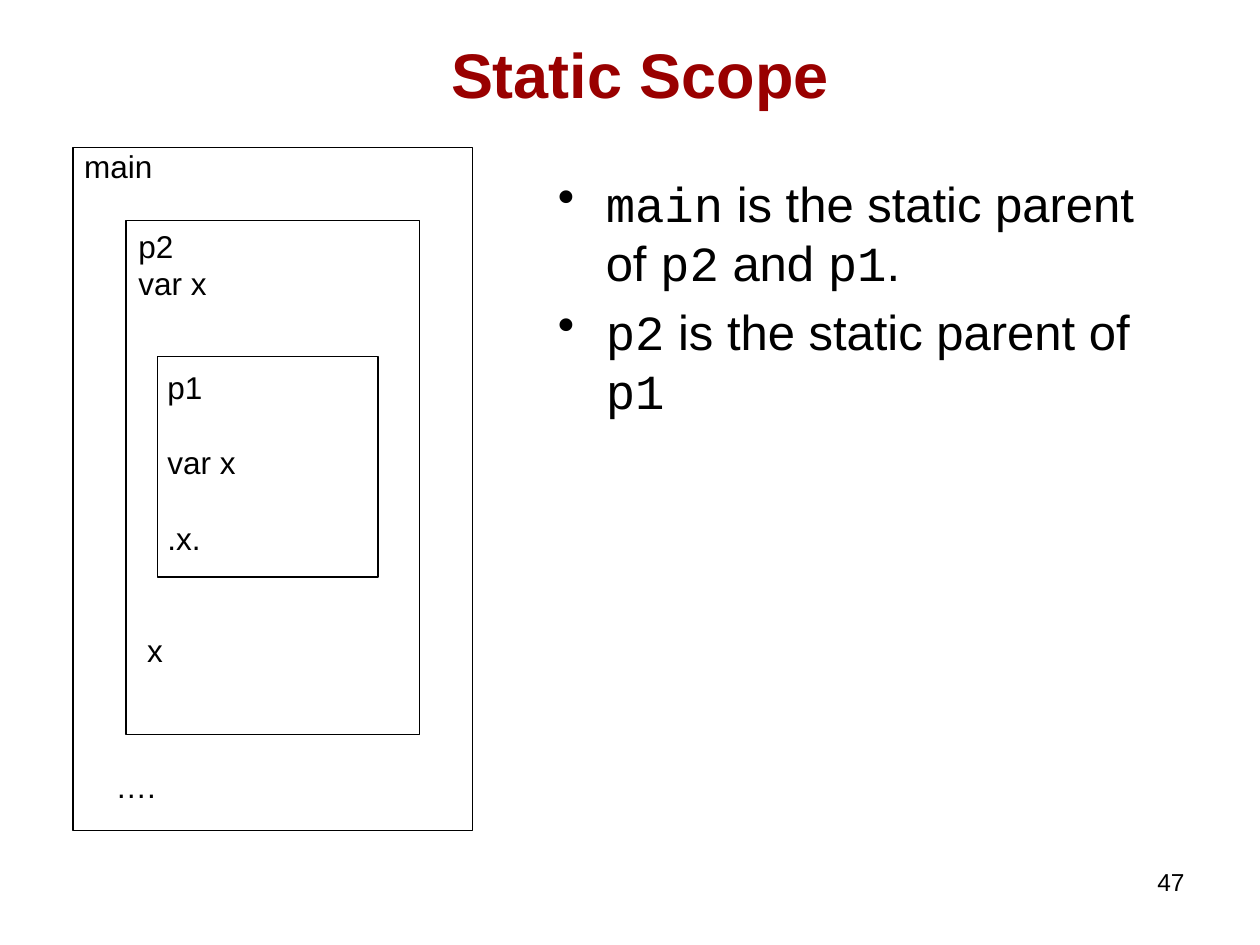
from dataclasses import dataclass

import pptx
import pptx.dml.color
import pptx.enum.shapes
import pptx.enum.text
import pptx.oxml
import pptx.oxml.ns
import pptx.util
from pptx.util import Inches, Pt

BLACK = pptx.dml.color.RGBColor(0x00, 0x00, 0x00)
DARK_RED = pptx.dml.color.RGBColor(0x99, 0x00, 0x00)
PROSE, CODE = "Arial", "Courier New"
CENTER = pptx.enum.text.PP_ALIGN.CENTER
RIGHT = pptx.enum.text.PP_ALIGN.RIGHT


@dataclass(frozen=True)
class Box:
    left: float
    top: float
    width: float
    height: float

    def emu(self) -> tuple[int, int, int, int]:
        return (Inches(self.left), Inches(self.top),
                Inches(self.width), Inches(self.height))


@dataclass(frozen=True)
class Label:
    box: Box
    lines: tuple[str, ...]
    gap: float = 0  # points between lines


SCOPES = (
    Box(0.58, 1.17, 3.17, 5.42),  # main
    Box(1, 1.75, 2.33, 4.08),     # p2
    Box(1.25, 2.83, 1.75, 1.75),  # p1
)

LABELS = (
    Label(Box(0.57, 1.12, 0.74, 0.4), ("main",)),
    Label(Box(1, 1.75, 0.74, 0.7), ("p2", "var x")),
    Label(Box(1.23, 2.87, 0.74, 1.6), ("p1", "var x", ".x."), gap=21.5),
    Label(Box(1.07, 4.96, 0.33, 0.4), ("x",)),
    Label(Box(0.82, 6.04, 0.52, 0.4), ("….",)),
)

STATEMENTS = (
    (("main", CODE), (" is the static parent of ", PROSE), ("p2", CODE),
     (" and ", PROSE), ("p1", CODE), (".", PROSE)),
    (("p2", CODE), (" is the static parent of ", PROSE), ("p1", CODE)),
)


def add_run(paragraph, text: str, size: float, font: str = PROSE,
            color=BLACK, bold: bool = False) -> None:
    run = paragraph.add_run()
    run.text = text
    run.font.name = font
    run.font.size = Pt(size)
    run.font.bold = bold
    run.font.color.rgb = color


def add_frame(slide, box: Box, wrap: bool = True):
    frame = slide.shapes.add_textbox(*box.emu()).text_frame
    frame.word_wrap = wrap
    return frame


def next_paragraph(frame, index: int):
    return frame.add_paragraph() if index else frame.paragraphs[0]


def set_bullet(paragraph, indent: float) -> None:
    properties = paragraph._p.get_or_add_pPr()
    properties.set("marL", str(Inches(indent)))
    properties.set("indent", str(-Inches(indent)))
    bullet = pptx.oxml.parse_xml(
        f'<a:buChar {pptx.oxml.ns.nsdecls("a")} char="•"/>')
    properties.append(bullet)


def add_title(slide, box: Box, text: str) -> None:
    title = slide.shapes.title
    title.left, title.top, title.width, title.height = box.emu()
    frame = title.text_frame
    frame.auto_size = pptx.enum.text.MSO_AUTO_SIZE.NONE
    frame.vertical_anchor = pptx.enum.text.MSO_ANCHOR.MIDDLE
    paragraph = frame.paragraphs[0]
    paragraph.alignment = CENTER
    paragraph.line_spacing = 0.75
    add_run(paragraph, text, 36, color=DARK_RED, bold=True)


def add_statements(slide, box: Box) -> None:
    frame = add_frame(slide, box)
    for index, statement in enumerate(STATEMENTS):
        paragraph = next_paragraph(frame, index)
        paragraph.space_before = Pt(5.6)
        set_bullet(paragraph, 0.38)
        for text, font in statement:
            add_run(paragraph, text, 28, font)


def add_scope(slide, box: Box) -> None:
    scope = slide.shapes.add_shape(
        pptx.enum.shapes.MSO_SHAPE.RECTANGLE, *box.emu())
    scope.shadow.inherit = False
    scope.fill.background()
    scope.line.color.rgb = BLACK
    scope.line.width = Pt(0.75)


def add_label(slide, label: Label) -> None:
    frame = add_frame(slide, label.box, wrap=False)
    frame.auto_size = pptx.enum.text.MSO_AUTO_SIZE.SHAPE_TO_FIT_TEXT
    for index, line in enumerate(label.lines):
        paragraph = next_paragraph(frame, index)
        if index and label.gap:
            paragraph.space_before = Pt(label.gap)
        add_run(paragraph, line, 18)


def main() -> None:
    deck = pptx.Presentation()
    deck.slide_width, deck.slide_height = Inches(10), Inches(7.5)
    slide = deck.slides.add_slide(deck.slide_layouts.get_by_name("Title Only"))

    # Title and statements
    add_title(slide, Box(0.58, 0.17, 9, 0.95), "Static Scope")
    add_statements(slide, Box(4.33, 1.33, 5.17, 2.67))

    # Nested scopes with their contents
    for scope in SCOPES:
        add_scope(slide, scope)
    for label in LABELS:
        add_label(slide, label)

    # Page number
    page_number = add_frame(slide, Box(7.17, 6.83, 2.33, 0.52)).paragraphs[0]
    page_number.alignment = RIGHT
    add_run(page_number, "47", 14)

    deck.save("out.pptx")


if __name__ == "__main__":
    main()
